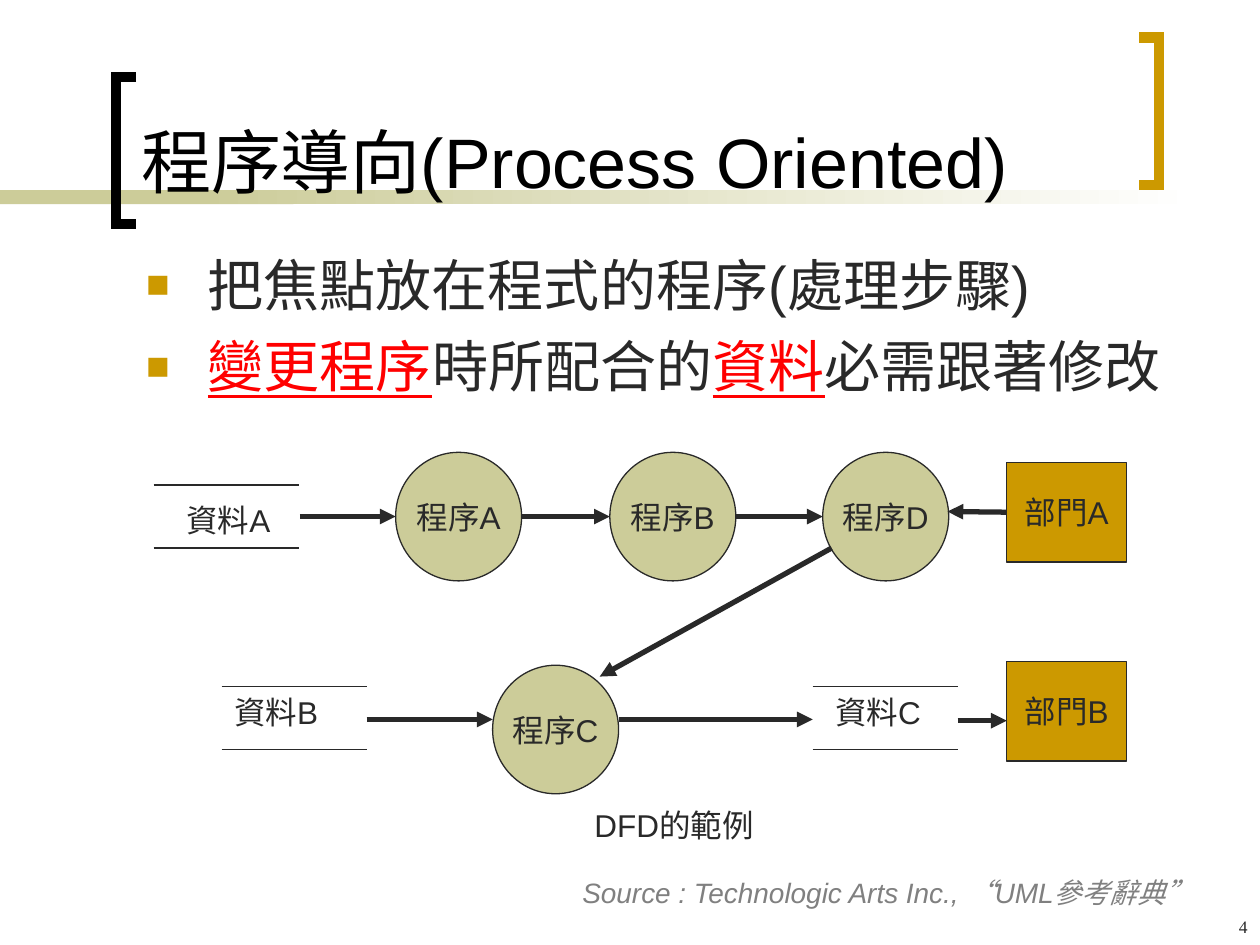
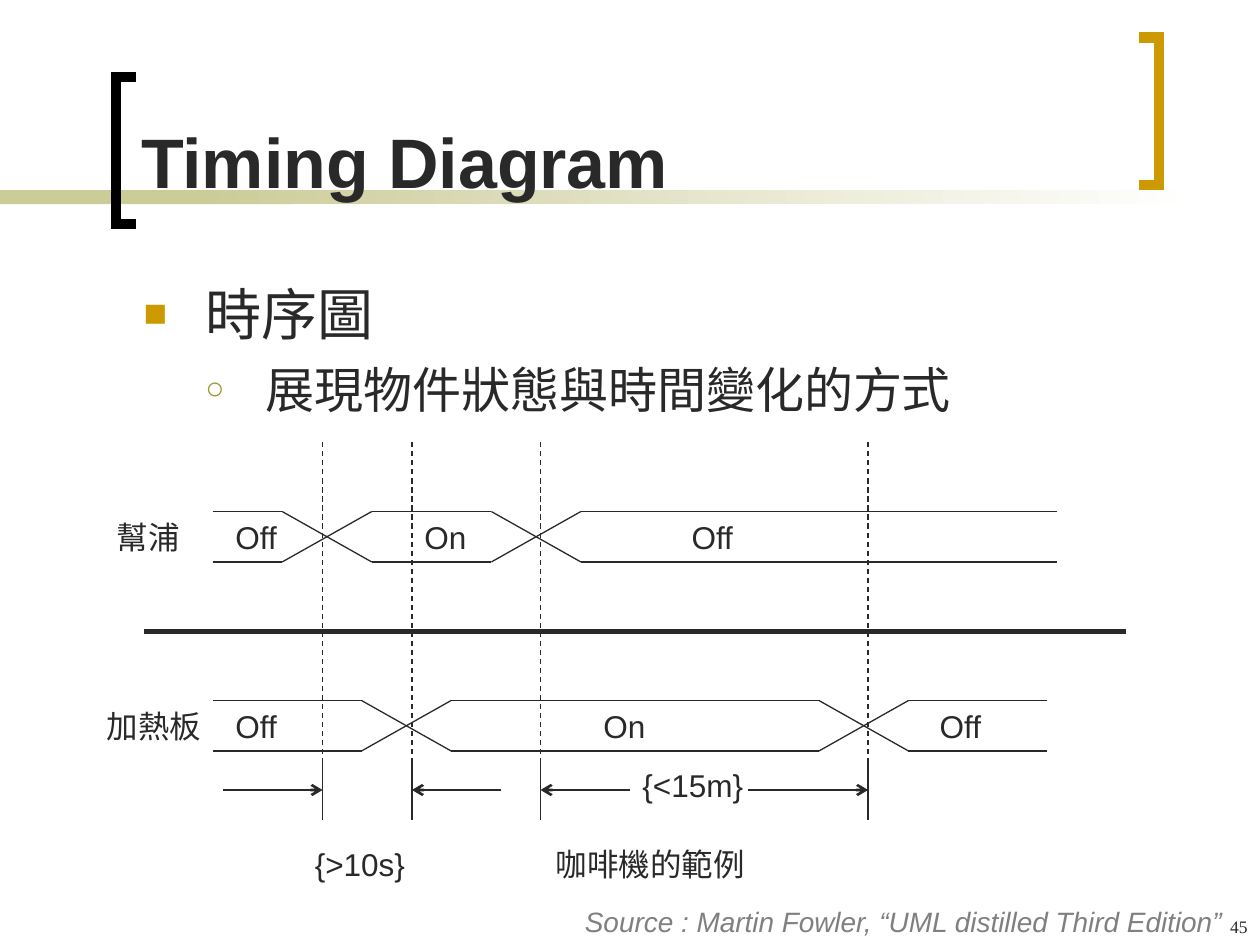
"""Build two UML lecture slides: a data flow diagram and a timing diagram."""
from dataclasses import dataclass
from typing import Any, Optional

import pptx
import pptx.dml.color
import pptx.enum.dml
import pptx.enum.shapes
import pptx.enum.text
import pptx.oxml
import pptx.oxml.ns
import pptx.util
from pptx.util import Inches

INK, BLACK, GRAY, RED = "292929", "000000", "808080", "FF0000"
SAND, GOLD, OLIVE, WHITE = "CCCC99", "CC9900", "999933", "FFFFFF"
ALIGN = pptx.enum.text.PP_ALIGN
ANCHOR = pptx.enum.text.MSO_ANCHOR
SHAPE = pptx.enum.shapes.MSO_SHAPE
Point = tuple[float, float]


@dataclass(frozen=True)
class Label:
    text: str
    left: float
    top: float
    width: float = 1.18
    height: float = 0.4


@dataclass(frozen=True)
class Line:
    start: Point
    end: Point
    width: float = 0.75
    dashed: bool = False
    arrow: Optional[str] = None


@dataclass(frozen=True)
class Bullet:
    spans: tuple[tuple[str, bool], ...]
    level: int = 0


@dataclass(frozen=True)
class BulletStyle:
    char: str
    color: str
    percent: int
    margin: float
    hang: float
    size: int
    before: int


@dataclass(frozen=True)
class Signal:
    top: float
    end: float
    crossings: tuple[float, ...]


BULLET_STYLES = (
    BulletStyle("■", GOLD, 70, 0.49, 0.49, 32, 8),
    BulletStyle("○", OLIVE, 65, 0.97, 0.48, 28, 7),
)


def rgb(color: str) -> pptx.dml.color.RGBColor:
    """Turn a hex string into a colour."""
    return pptx.dml.color.RGBColor.from_string(color)


def add_xml(parent: Any, tag: str, **attributes: str) -> Any:
    """Append a DrawingML element to a parent."""
    child = pptx.oxml.parse_xml(f"<a:{tag} {pptx.oxml.ns.nsdecls('a')}/>")
    for name, value in attributes.items():
        child.set(name, value)
    parent.append(child)
    return child


def add_span(para: Any, text: str, *, size: float = 18, color: str = INK, font: str = "Arial",
             bold: bool = False, italic: bool = False, underline: bool = False) -> None:
    """Add a formatted run to a paragraph."""
    span = para.add_run()
    span.text = text
    span.font.size = pptx.util.Pt(size)
    span.font.name = font
    span.font.bold, span.font.italic, span.font.underline = bold, italic, underline
    span.font.color.rgb = rgb(color)


def set_frame(box: Any, anchor: Any, wrap: bool = True) -> Any:
    """Set a text frame's anchor and wrap, and return its first paragraph."""
    frame = box.text_frame
    frame.auto_size = pptx.enum.text.MSO_AUTO_SIZE.NONE
    frame.word_wrap = wrap
    frame.vertical_anchor = anchor
    para = frame.paragraphs[0]
    para.space_before = pptx.util.Pt(0)
    return para


def place(box: Any, left: float, top: float, width: float, height: float) -> None:
    """Move and size a shape in inches."""
    box.left, box.top = Inches(left), Inches(top)
    box.width, box.height = Inches(width), Inches(height)


def add_label(page: Any, label: Label, *, align: Any = ALIGN.LEFT, **style: Any) -> None:
    """Add a text box with one line of text."""
    box = page.shapes.add_textbox(Inches(label.left), Inches(label.top),
                                  Inches(label.width), Inches(label.height))
    para = set_frame(box, ANCHOR.TOP)
    para.alignment = align
    add_span(para, label.text, **style)


def add_node(page: Any, label: Label, kind: Any, fill: str) -> Any:
    """Add a filled shape with a thin outline and centred text."""
    node = page.shapes.add_shape(kind, Inches(label.left), Inches(label.top),
                                 Inches(label.width), Inches(label.height))
    node.shadow.inherit = False
    node.fill.solid()
    node.fill.fore_color.rgb = rgb(fill)
    node.line.color.rgb = rgb(INK)
    node.line.width = pptx.util.Pt(0.75)
    para = set_frame(node, ANCHOR.MIDDLE, wrap=False)
    para.alignment = ALIGN.CENTER
    add_span(para, label.text)
    return node


def add_line(page: Any, line: Line) -> Any:
    """Add a straight connector, dashed or with an arrowhead if asked."""
    connector = page.shapes.add_connector(
        pptx.enum.shapes.MSO_CONNECTOR.STRAIGHT,
        *(Inches(value) for value in line.start + line.end))
    connector.line.color.rgb = rgb(INK)
    connector.line.width = pptx.util.Pt(line.width)
    if line.dashed:
        connector.line.dash_style = pptx.enum.dml.MSO_LINE.DASH
    if line.arrow:
        add_xml(connector.line._get_or_add_ln(), "tailEnd", type=line.arrow)
    add_xml(connector._element.spPr, "effectLst")
    return connector


def add_band(page: Any, left: float, width: float, fades: bool) -> None:
    """Add one part of the band under the title."""
    band = page.shapes.add_shape(SHAPE.RECTANGLE, Inches(left), Inches(1.51),
                                 Inches(width), Inches(0.11))
    band.shadow.inherit = False
    band.line.fill.background()
    if fades:
        band.fill.gradient()
        band.fill.gradient_angle = 180
        for stop, color in zip(band.fill.gradient_stops, (WHITE, SAND)):
            stop.color.rgb = rgb(color)
    else:
        band.fill.solid()
        band.fill.fore_color.rgb = rgb(SAND)


def add_bracket(page: Any, tip: float, spine: float, top: float, color: str) -> None:
    """Add a square bracket beside the title."""
    bottom = top + 1.17
    builder = page.shapes.build_freeform(Inches(tip), Inches(top))
    builder.add_line_segments([(Inches(x), Inches(y)) for x, y in
                               ((spine, top), (spine, bottom), (tip, bottom))], close=False)
    bracket = builder.convert_to_shape()
    bracket.shadow.inherit = False
    bracket.fill.background()
    bracket.line.color.rgb = rgb(color)
    bracket.line.width = pptx.util.Pt(6)
    add_xml(bracket.line._get_or_add_ln(), "miter", lim="800000")


def add_bullet(para: Any, bullet: Bullet) -> None:
    """Format a list paragraph and add its spans."""
    style = BULLET_STYLES[bullet.level]
    para.level = bullet.level
    para.alignment = ALIGN.LEFT
    properties = para._p.get_or_add_pPr()
    properties.set("marL", str(Inches(style.margin)))
    properties.set("indent", str(-Inches(style.hang)))
    add_xml(add_xml(properties, "buClr"), "srgbClr", val=style.color)
    add_xml(properties, "buSzPct", val=str(style.percent * 1000))
    add_xml(properties, "buFont", typeface="Arial")
    add_xml(properties, "buChar", char=style.char)
    for text, marked in bullet.spans:
        add_span(para, text, size=style.size, color=RED if marked else INK, underline=marked)


def add_page(deck: Any, title: str, title_style: dict[str, Any], body_at: tuple[float, ...],
             bullets: tuple[Bullet, ...], source: Label, number: str) -> Any:
    """Add a slide with the shared frame, title, list, source and number."""
    page = deck.slides.add_slide(deck.slide_layouts[1])
    add_band(page, 0, 2.33, fades=False)
    add_band(page, 1.58, 7.92, fades=True)
    add_bracket(page, 1.08, 0.92, 0.61, BLACK)
    add_bracket(page, 9.04, 9.2, 0.3, GOLD)
    heading, body = page.shapes.title, page.placeholders[1]
    for placeholder in (heading, body):
        page.shapes._spTree.append(placeholder._element)
    place(heading, 1.02, 0.11, 7.83, 1.55)
    para = set_frame(heading, ANCHOR.BOTTOM)
    para.alignment = ALIGN.LEFT
    add_span(para, title, size=40, **title_style)
    place(body, *body_at)
    para = set_frame(body, ANCHOR.TOP)
    for index, bullet in enumerate(bullets):
        if index:
            para = body.text_frame.add_paragraph()
            para.space_before = pptx.util.Pt(BULLET_STYLES[bullet.level].before)
        add_bullet(para, bullet)
    add_label(page, source, align=ALIGN.RIGHT, size=16, color=GRAY, italic=True)
    add_label(page, Label(number, 7.92, 7.22, 2.08, 0.28), align=ALIGN.RIGHT,
              size=10, font="Times New Roman")
    return page


def build_data_flow(deck: Any) -> None:
    """Build the process oriented slide."""
    page = add_page(
        deck, "程序導向(Process Oriented)", {"color": BLACK}, (1.06, 1.94, 8.38, 4.5),
        (Bullet((("把焦點放在程式的程序(處理步驟)", False),)),
         Bullet((("變更程序", True), ("時所配合的", False),
                 ("資料", True), ("必需跟著修改", False)))),
        Label("Source : Technologic Arts Inc., “UML參考辭典”", 0.67, 6.9, 8.9, 0.37), "4")
    for name, left, top in (("A", 3.14, 3.59), ("B", 4.84, 3.59),
                            ("D", 6.53, 3.59), ("C", 3.91, 5.28)):
        add_node(page, Label(f"程序{name}", left, top, 1, 1.02), SHAPE.OVAL, SAND)
    for name, left, top, text_left, text_top in (("A", 1.22, 3.85, 1.38, 3.93),
                                                 ("B", 1.76, 5.45, 1.76, 5.45),
                                                 ("C", 6.45, 5.45, 6.53, 5.45)):
        for y in (top, top + 0.5):
            add_line(page, Line((left, y), (left + 1.15, y)))
        add_label(page, Label(f"資料{name}", text_left, text_top, 1.15))
    departments = [add_node(page, Label(f"部門{name}", 7.99, top, 0.95, 0.79),
                            SHAPE.RECTANGLE, GOLD)
                   for name, top in (("A", 3.67), ("B", 5.25))]
    flows = [add_line(page, Line(start, end, 3, arrow="triangle")) for start, end in (
        ((7.99, 4.06), (7.52, 4.06)), ((2.38, 4.1), (3.14, 4.1)),
        ((4.14, 4.1), (4.84, 4.1)), ((5.84, 4.1), (6.53, 4.1)),
        ((6.6, 4.35), (4.76, 5.37)), ((2.91, 5.71), (3.91, 5.71)),
        ((4.91, 5.71), (6.45, 5.71)), ((7.6, 5.72), (7.99, 5.72)))]
    flows[0].begin_connect(departments[0], 1)
    add_label(page, Label("DFD的範例", 3.58, 6.35, 3.54), align=ALIGN.CENTER)


def add_signal(page: Any, signal: Signal) -> None:
    """Draw a two-rail signal that crosses over at each change of state."""
    high, low = signal.top, signal.top + 0.4
    left = 1.69
    for crossing in signal.crossings + (signal.end,):
        for y in (high, low):
            add_line(page, Line((left, y), (crossing, y)))
        left = crossing + 0.71
        if crossing != signal.end:
            add_line(page, Line((crossing, high), (left, low)))
            add_line(page, Line((crossing, low), (left, high)))


def build_timing(deck: Any) -> None:
    """Build the timing diagram slide."""
    page = add_page(
        deck, "Timing Diagram", {"bold": True}, (1.04, 2.17, 8.38, 1.27),
        (Bullet((("時序圖", False),)), Bullet((("展現物件狀態與時間變化的方式", False),), level=1)),
        Label("Source : Martin Fowler, “UML distilled Third Edition”", 0.9, 7.13, 8.9, 0.37), "45")
    add_line(page, Line((1.14, 5.01), (8.94, 5.01), 3))
    pump, plate = Signal(4.06, 8.39, (2.24, 3.9)), Signal(5.56, 8.31, (2.87, 6.5))
    for signal in (pump, plate):
        add_signal(page, signal)
    for x in (2.56, 3.27, 4.29, 6.89):
        add_line(page, Line((x, 3.51), (x, 6.51), dashed=True))
        add_line(page, Line((x, 6.03), (x, 6.51)))
    for start, end in ((1.77, 2.56), (3.98, 3.27), (5, 4.29), (5.94, 6.89)):
        add_line(page, Line((start, 6.27), (end, 6.27), 1.5, arrow="arrow"))
    for signal, states in ((pump, (("Off", 1.77), ("On", 3.27), ("Off", 5.39))),
                           (plate, (("Off", 1.77), ("On", 4.69), ("Off", 7.36)))):
        for state, left in states:
            add_label(page, Label(state, left, signal.top, 0.71))
    for label in (Label("幫浦", 0.83, pump.top, 0.94), Label("加熱板", 0.75, plate.top, 1.26),
                  Label("{>10s}", 2.4, 6.66), Label("{<15m}", 5, 6.03)):
        add_label(page, label)
    add_label(page, Label("咖啡機的範例", 3.9, 6.66, 2.52), align=ALIGN.CENTER)


def main() -> None:
    """Build and save the deck."""
    deck = pptx.Presentation()
    deck.slide_width, deck.slide_height = Inches(10), Inches(7.5)
    build_data_flow(deck)
    build_timing(deck)
    deck.save("out.pptx")


if __name__ == "__main__":
    main()
